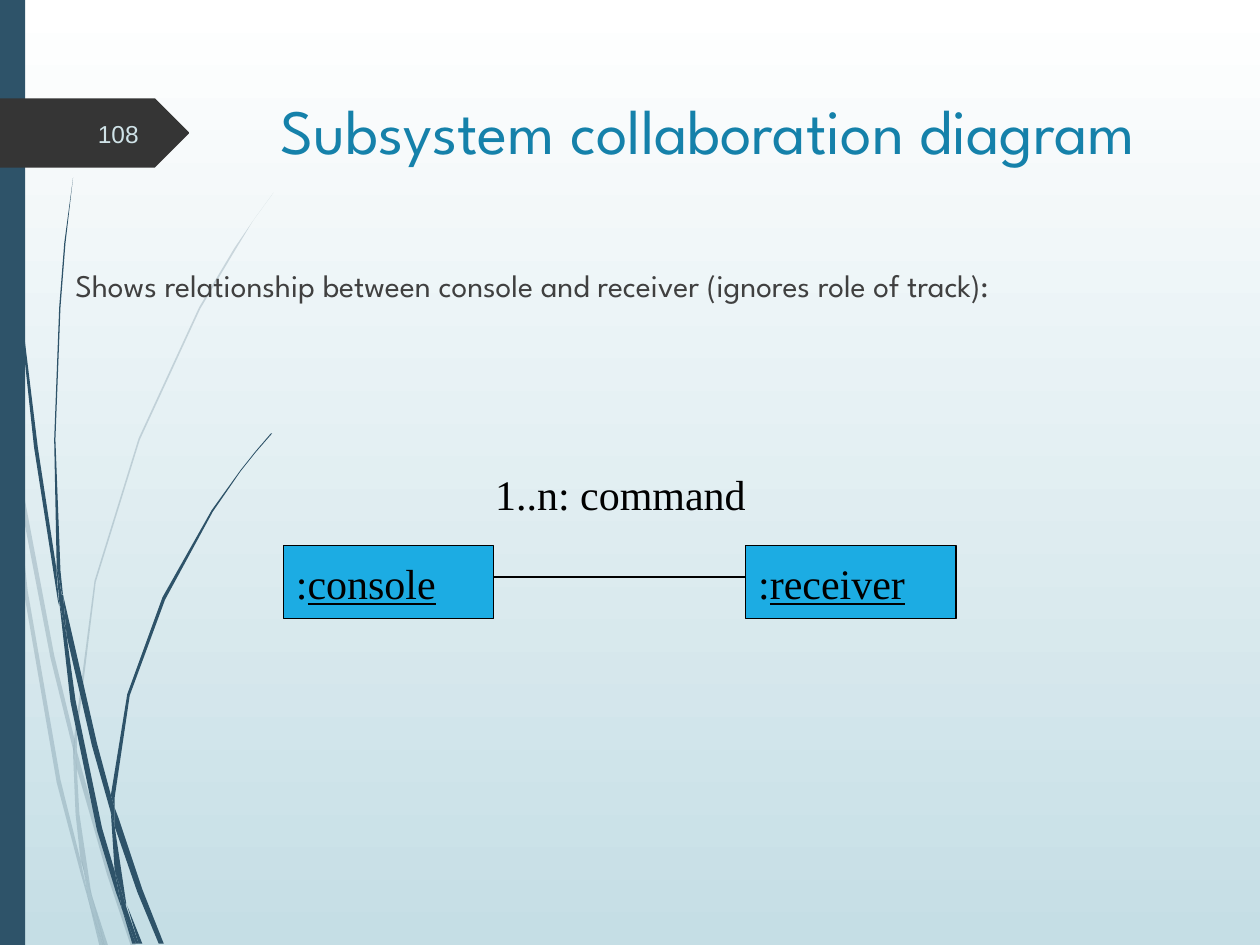
from dataclasses import dataclass

from lxml import etree
from pptx import Presentation
from pptx.dml.color import RGBColor
from pptx.enum.shapes import MSO_CONNECTOR, MSO_SHAPE
from pptx.enum.text import MSO_ANCHOR as Anchor, PP_ALIGN as Align
from pptx.oxml.ns import qn
from pptx.util import Pt

COLORS = {
    "sky": "FFFFFF", "haze": "C5DEE5", "stem": "2E5369", "tag": "353535",
    "title": "1581AA", "body": "404040", "number": "CFE2E7",
    "box": "1CACE3", "ink": "000000",
}
HEADING_FONT, DIAGRAM_FONT, NUMBER_FONT = "League Spartan", "Times New Roman", "Arial"
UNIT = Pt(0.72)  # outlines below are drawn on a grid of this size

Outline = list[tuple[int, int]]

PALE_STEMS: list[Outline] = [
    [(8, 350), (6, 322), (0, 282), (0, 299), (7, 344)],
    [(40, 522), (59, 599), (59, 586), (43, 520), (10, 345), (12, 376)],
    [(64, 607), (61, 596), (61, 610), (85, 694), (104, 751), (108, 751), (88, 692)],
    [(83, 751), (86, 751), (73, 711)],
    [(64, 683), (48, 619), (22, 469), (12, 376), (8, 350), (19, 470), (45, 621),
     (64, 693), (70, 714), (69, 707)],
    [(58, 599), (60, 646), (64, 683), (67, 692), (73, 711), (72, 706), (63, 646),
     (61, 610), (61, 608)],
    [(61, 584), (76, 462), (111, 349), (159, 245), (187, 198), (201, 175), (217, 153),
     (201, 175), (186, 197), (158, 244), (110, 348), (75, 461), (59, 584), (59, 586),
     (61, 596)],
    [(70, 714), (79, 751), (82, 751)],
    [(61, 608), (61, 610), (61, 596), (59, 586), (58, 599)],
    [(67, 692), (65, 683), (69, 707), (70, 714), (82, 751), (83, 751), (73, 711)],
]
DARK_STEMS: list[Outline] = [
    [(5, 110), (14, 233), (27, 355), (46, 477), (47, 481), (45, 457), (45, 453),
     (30, 355), (15, 232), (6, 109), (4, 48), (3, 0), (2, 0), (3, 48)],
    [(73, 592), (88, 645), (88, 633), (88, 631), (77, 590), (50, 472), (53, 505)],
    [(94, 649), (91, 641), (91, 656), (109, 708), (126, 749), (130, 749), (113, 706)],
    [(91, 691), (81, 657), (60, 556), (53, 505), (47, 477), (56, 557), (77, 659),
     (92, 708), (97, 722), (96, 717)],
    [(50, 472), (48, 453), (44, 349), (48, 244), (52, 193), (58, 141), (51, 193),
     (47, 244), (43, 349), (45, 449), (49, 471)],
    [(110, 749), (113, 749), (101, 719)],
    [(47, 477), (53, 505), (50, 472), (49, 472), (45, 449), (45, 453)],
    [(91, 633), (103, 552), (131, 476), (169, 406), (191, 374), (203, 359), (216, 344),
     (215, 344), (203, 358), (191, 373), (168, 405), (129, 474), (101, 551), (88, 631),
     (91, 641)],
    [(97, 722), (105, 749), (108, 749)],
    [(88, 645), (91, 691), (96, 706), (100, 719), (100, 716), (91, 656), (90, 651)],
    [(88, 645), (90, 651), (91, 656), (91, 641), (88, 631), (88, 633)],
    [(96, 706), (91, 691), (96, 717), (97, 722), (108, 749), (110, 749), (100, 719)],
]
NUMBER_TAG: Outline = [
    (149, 107), (124, 132), (123, 133), (121, 133), (0, 133), (0, 78), (121, 78),
    (123, 78), (124, 79), (149, 104), (150, 105), (150, 106),
]


@dataclass(frozen=True)
class Label:
    words: str
    left: float
    top: float
    width: float
    height: float
    size: float
    font: str
    color: str
    align: Align = Align.LEFT
    anchor: Anchor = Anchor.TOP
    wrap: bool = True


@dataclass(frozen=True)
class Subsystem:
    name: str
    left: float


LABELS = [
    Label("Subsystem collaboration diagram", 153.4, 49, 519.1, 100.8,
          36, HEADING_FONT, "title"),
    Label("Shows relationship between console and receiver (ignores role of track):",
          36, 148.3, 643.7, 85.7, 18, HEADING_FONT, "body"),
    Label("108", 40.3, 61.9, 46.1, 28.8, 14, NUMBER_FONT, "number",
          Align.RIGHT, Anchor.MIDDLE),
    Label("1..n: command", 275.8, 264.2, 157.7, 36, 24, DIAGRAM_FONT, "ink", wrap=False),
]
CONSOLE, RECEIVER = Subsystem("console", 162), Subsystem("receiver", 426.2)
BOX_TOP, BOX_WIDTH, BOX_HEIGHT = 311.8, 120.2, 41.8
LINK_Y = 329.8


def rgb(color: str) -> RGBColor:
    return RGBColor.from_string(COLORS[color])


def paint(shape, color: str, alpha: int = 100) -> None:
    """Give a shape a flat fill, in percent of opacity, without line or shadow."""
    shape.shadow.inherit = False
    shape.line.fill.background()
    shape.fill.solid()
    shape.fill.fore_color.rgb = rgb(color)
    if alpha < 100:
        tint = shape.fill._xPr.find(qn("a:solidFill"))[0]
        etree.SubElement(tint, qn("a:alpha"), val=str(alpha * 1000))


def draw_outline(shapes, outline: Outline, color: str, alpha: int = 100) -> None:
    builder = shapes.build_freeform(*outline[0], scale=UNIT)
    builder.add_line_segments(outline[1:], close=True)
    paint(builder.convert_to_shape(), color, alpha)


def add_run(paragraph, words: str, size: float, font: str, color: str,
            underline: bool | None = None) -> None:
    run = paragraph.add_run()
    run.text = words
    run.font.size, run.font.name = Pt(size), font
    run.font.color.rgb = rgb(color)
    run.font.underline = underline


def draw_label(shapes, label: Label) -> None:
    frame = shapes.add_textbox(Pt(label.left), Pt(label.top),
                               Pt(label.width), Pt(label.height)).text_frame
    frame.word_wrap = label.wrap
    frame.vertical_anchor = label.anchor
    paragraph = frame.paragraphs[0]
    paragraph.alignment = label.align
    add_run(paragraph, label.words, label.size, label.font, label.color)


def draw_subsystem(shapes, subsystem: Subsystem) -> None:
    box = shapes.add_shape(MSO_SHAPE.RECTANGLE, Pt(subsystem.left), Pt(BOX_TOP),
                           Pt(BOX_WIDTH), Pt(BOX_HEIGHT))
    paint(box, "box")
    box.line.color.rgb = rgb("ink")
    box.line.width = Pt(0.75)
    box.text_frame.vertical_anchor = Anchor.MIDDLE
    paragraph = box.text_frame.paragraphs[0]
    paragraph.alignment = Align.LEFT
    add_run(paragraph, ":", 24, DIAGRAM_FONT, "ink")
    add_run(paragraph, subsystem.name, 24, DIAGRAM_FONT, "ink", underline=True)


def draw_link(shapes, source: Subsystem, target: Subsystem) -> None:
    link = shapes.add_connector(MSO_CONNECTOR.STRAIGHT,
                                Pt(source.left + BOX_WIDTH), Pt(LINK_Y),
                                Pt(target.left), Pt(LINK_Y))
    link.line.color.rgb = rgb("ink")
    link.line.width = Pt(0.75)
    etree.SubElement(link._element.spPr, qn("a:effectLst"))


def main() -> None:
    deck = Presentation()
    deck.slide_width, deck.slide_height = Pt(720), Pt(540)
    slide = deck.slides.add_slide(deck.slide_layouts[6])
    shapes = slide.shapes

    backdrop = slide.background.fill
    backdrop.gradient()
    backdrop.gradient_angle = 270
    for stop, position, color in zip(backdrop.gradient_stops, (0, 1), ("sky", "haze")):
        stop.position = position
        stop.color.rgb = rgb(color)

    for stem in PALE_STEMS:
        draw_outline(shapes, stem, "stem", alpha=20)
    for stem in DARK_STEMS:
        draw_outline(shapes, stem, "stem")
    side_bar = shapes.add_shape(MSO_SHAPE.RECTANGLE, 0, 0, Pt(14.4), Pt(540))
    paint(side_bar, "stem")
    draw_outline(shapes, NUMBER_TAG, "tag")

    for subsystem in (CONSOLE, RECEIVER):
        draw_subsystem(shapes, subsystem)
    draw_link(shapes, CONSOLE, RECEIVER)
    for label in LABELS:
        draw_label(shapes, label)
    deck.save("out.pptx")


if __name__ == "__main__":
    main()
